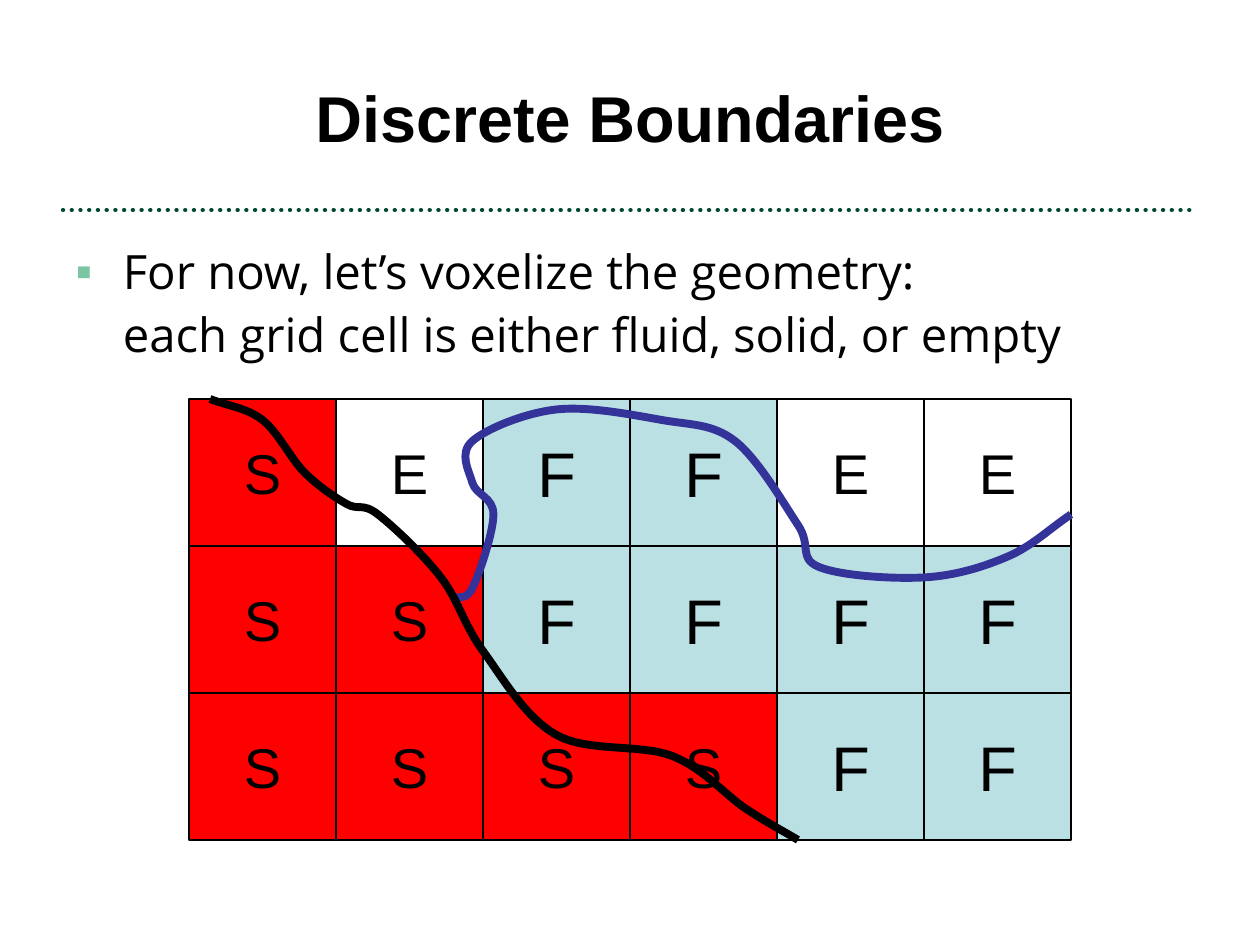
from lxml.etree import SubElement as Sub
from pptx import Presentation
from pptx.dml.color import RGBColor as Rgb
from pptx.enum.dml import MSO_LINE as Dash
from pptx.enum.shapes import MSO_CONNECTOR as Conn, MSO_SHAPE as Kind
from pptx.enum.text import MSO_ANCHOR as Anchor, MSO_AUTO_SIZE as Fit, PP_ALIGN as Align
from pptx.oxml.ns import qn
from pptx.util import Pt

HUES = {
    "ink": "000000", "rule": "004731", "mark": "7BC5A2",
    "solid": "FF0000", "fluid": "BBE0E3", "empty": "FFFFFF", "wave": "333399",
}
CELLS = {"S": ("solid", 32), "E": ("empty", 32), "F": ("fluid", 36)}
ROWS = ["SEFFEE", "SSFFFF", "SSSSFF"]
SIDE = 84
STEP = 6
WATER = [(84, 11), (78, 15), (70, 17), (60, 16), (58, 12), (52, 4), (45, 2),
         (35, 1), (27, 4), (27, 8), (29, 11), (27, 18), (25, 19)]
WALL = [(2, 0), (7, 2), (11, 7), (15, 10), (18, 11), (24, 17), (28, 24),
        (35, 32), (46, 34), (53, 39), (58, 42)]


def hue(name):
    return Rgb.from_string(HUES[name])


def place(shape, box):
    shape.left, shape.top, shape.width, shape.height = map(Pt, box)


def write(shape, text, size, font="Arial", bold=False, align=Align.CENTER,
          anchor=Anchor.MIDDLE, wrap=True):
    frame = shape.text_frame
    frame.text = text
    frame.word_wrap = wrap
    frame.auto_size = Fit.NONE
    frame.vertical_anchor = anchor
    para = frame.paragraphs[0]
    para.alignment = align
    for run in para.runs:
        run.font.name = font
        run.font.size = Pt(size)
        run.font.bold = bold
        run.font.color.rgb = hue("ink")
    return para


def head(slide, box):
    left, top, width, height = box
    title = slide.shapes.title
    place(title, box)
    write(title, "Discrete Boundaries", 37, bold=True)
    level = top + height + 8.4
    rule = slide.shapes.add_connector(
        Conn.STRAIGHT, Pt(left), Pt(level), Pt(left + width), Pt(level))
    rule.line.color.rgb = hue("rule")
    rule.line.width = Pt(2.5)
    rule.line.dash_style = Dash.ROUND_DOT
    rule.line._get_or_add_ln().set("cap", "rnd")
    Sub(rule._element.spPr, qn("a:effectLst"))


def body(slide, box):
    item = slide.placeholders[1]
    place(item, box)
    para = write(
        item,
        "For now, let’s voxelize the geometry:\veach grid cell is either fluid, solid, or empty",
        27, font="Open Sans", align=Align.LEFT, anchor=Anchor.TOP)
    para.line_spacing = 1.1
    para.space_before = para.space_after = Pt(6)
    props = para._p.get_or_add_pPr()
    props.set("marL", str(Pt(27)))
    props.set("indent", str(-Pt(27)))
    tint = Sub(props, qn("a:buClr"))
    Sub(tint, qn("a:srgbClr"), val=HUES["mark"])
    Sub(props, qn("a:buFont"), typeface="Arial")
    Sub(props, qn("a:buChar"), char="▪")


def cell(slide, box, mark):
    name, size = CELLS[mark]
    tile = slide.shapes.add_shape(Kind.RECTANGLE, *map(Pt, box))
    tile.shadow.inherit = False
    tile.fill.solid()
    tile.fill.fore_color.rgb = hue(name)
    tile.line.color.rgb = hue("ink")
    tile.line.width = Pt(1)
    write(tile, mark, size, wrap=False)


def smooth(shape):
    spots = [(int(pt.get("x")), int(pt.get("y")))
             for pt in shape._element.iter(qn("a:pt"))]

    def beyond(end, near):
        return tuple(2 * a - b for a, b in zip(end, near))

    chain = [beyond(spots[0], spots[1]), *spots, beyond(spots[-1], spots[-2])]
    legs = list(shape._element.iter(qn("a:lnTo")))
    for leg, a, b, c, d in zip(legs, chain, chain[1:], chain[2:], chain[3:]):
        first = [q + (r - p) / 6 for p, q, r in zip(a, b, c)]
        second = [r - (s - q) / 6 for q, r, s in zip(b, c, d)]
        curve = Sub(leg.getparent(), qn("a:cubicBezTo"))
        for x, y in (first, second, c):
            Sub(curve, qn("a:pt"), x=str(round(x)), y=str(round(y)))
        leg.getparent().remove(leg)


def trace(slide, box, knots, name):
    left, top = box[:2]
    spots = [(Pt(left + x * STEP), Pt(top + y * STEP)) for x, y in knots]
    pen = slide.shapes.build_freeform(*spots[0])
    pen.add_line_segments(spots[1:], close=False)
    line = pen.convert_to_shape()
    smooth(line)
    line.shadow.inherit = False
    line.fill.background()
    line.line.color.rgb = hue(name)
    line.line.width = Pt(4.5)


def grid(slide, box):
    left, top = box[:2]
    for row, marks in enumerate(ROWS):
        for col, mark in enumerate(marks):
            cell(slide, (left + col * SIDE, top + row * SIDE, SIDE, SIDE), mark)
    trace(slide, box, WATER, "wave")
    trace(slide, box, WALL, "ink")


def main():
    deck = Presentation()
    deck.slide_width, deck.slide_height = Pt(720), Pt(540)
    slide = deck.slides.add_slide(deck.slide_layouts[1])
    head(slide, (36, 21.6, 648, 90))
    body(slide, (36, 131.76, 648, 392.4))
    grid(slide, (108, 228, 6 * SIDE, 3 * SIDE))
    deck.save("out.pptx")


if __name__ == "__main__":
    main()
